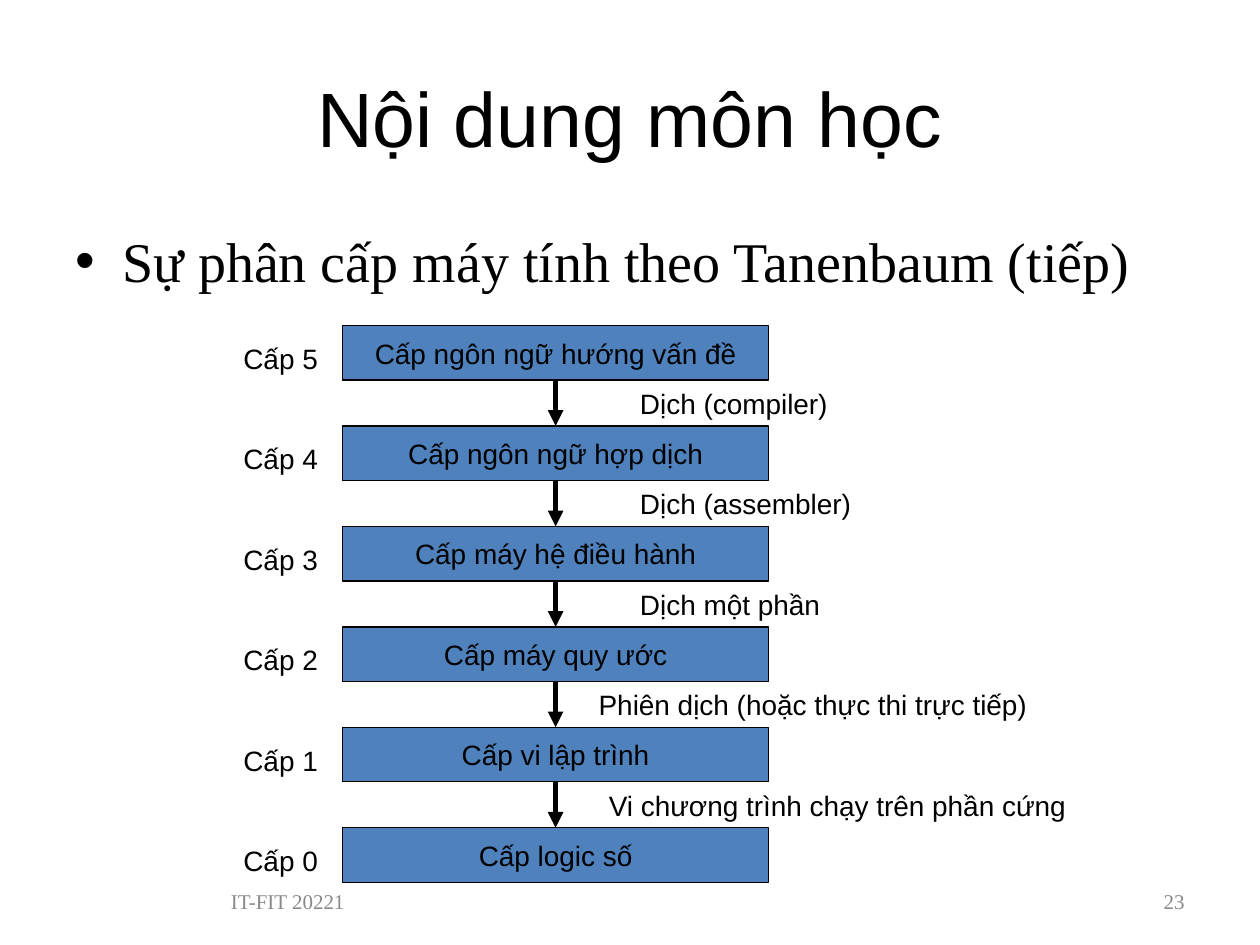
from pptx import Presentation
from pptx.dml.color import RGBColor
from pptx.enum.shapes import MSO_CONNECTOR, MSO_SHAPE
from pptx.enum.text import MSO_ANCHOR, PP_ALIGN
from pptx.oxml.ns import qn
from pptx.util import Pt
from lxml.etree import SubElement

BLACK = RGBColor(0, 0, 0)
BLUE = RGBColor(0x4F, 0x81, 0xBD)
GRAY = RGBColor(0x89, 0x89, 0x89)
SANS, SERIF = "Arial", "Times New Roman"


def style(shape, text, size=16, font=SANS, color=BLACK,
          align=PP_ALIGN.LEFT, anchor=MSO_ANCHOR.MIDDLE, wrap=True):
    frame = shape.text_frame
    frame.text = text
    frame.word_wrap = wrap
    frame.vertical_anchor = anchor
    para = frame.paragraphs[0]
    para.alignment = align
    face = para.runs[0].font
    face.name, face.size, face.color.rgb = font, Pt(size), color
    return para


def label(text, left, top, width, height, **look):
    box = slide.shapes.add_textbox(Pt(left), Pt(top), Pt(width), Pt(height))
    return style(box, text, **look)


deck = Presentation()
deck.slide_width, deck.slide_height = Pt(720), Pt(540)
slide = deck.slides.add_slide(deck.slide_layouts[6])

# Title and bullet
label("Nội dung môn học", 36, 21.6, 648, 90, size=44, align=PP_ALIGN.CENTER)
point = label("Sự phân cấp máy tính theo Tanenbaum (tiếp)", 36, 126, 648, 66,
              size=32, font=SERIF, anchor=MSO_ANCHOR.TOP)
point.space_before = Pt(8)
props = point._p.get_or_add_pPr()
props.set("marL", str(Pt(27)))
props.set("indent", str(-Pt(27)))
SubElement(props, qn("a:buFont"), typeface=SANS)
SubElement(props, qn("a:buChar"), char="•")

# Levels, each with the step that leads to the next one
LEFT, TOP, WIDTH, HEIGHT, PITCH = 195.8, 186, 243.4, 31.2, 57.4
MID = LEFT + WIDTH / 2
levels = [
    ("Cấp ngôn ngữ hướng vấn đề", "Dịch (compiler)", 358.6, 145),
    ("Cấp ngôn ngữ hợp dịch", "Dịch (assembler)", 358.6, 145),
    ("Cấp máy hệ điều hành", "Dịch một phần", 358.6, 145),
    ("Cấp máy quy ước", "Phiên dịch (hoặc thực thi trực tiếp)", 335, 284),
    ("Cấp vi lập trình", "Vi chương trình chạy trên phần cứng", 340.8, 313),
    ("Cấp logic số", None, 0, 0),
]
for row, (name, step, left, width) in enumerate(levels):
    top = TOP + row * PITCH
    end = top + HEIGHT
    box = slide.shapes.add_shape(MSO_SHAPE.RECTANGLE, Pt(LEFT), Pt(top),
                                 Pt(WIDTH), Pt(HEIGHT))
    box.shadow.inherit = False
    box.fill.solid()
    box.fill.fore_color.rgb = BLUE
    box.line.color.rgb = BLACK
    box.line.width = Pt(0.74)
    style(box, name, align=PP_ALIGN.CENTER, wrap=False)
    label(f"Cấp {5 - row}", 132, top + 5.6, 64, 26.6, anchor=MSO_ANCHOR.TOP)
    if step:
        arrow = slide.shapes.add_connector(MSO_CONNECTOR.STRAIGHT, Pt(MID),
                                           Pt(end), Pt(MID), Pt(top + PITCH))
        arrow.line.color.rgb = BLACK
        arrow.line.width = Pt(3)
        SubElement(arrow.line._get_or_add_ln(), qn("a:tailEnd"),
                   type="triangle")
        SubElement(arrow._element.spPr, qn("a:effectLst"))
        label(step, left, end, width, 26.6, anchor=MSO_ANCHOR.TOP)

# Footer and page number
for text, left in (("IT-FIT 20221", 36), ("23", 516)):
    label(text, left, 500.5, 168, 28.8, size=12, font=SERIF, color=GRAY,
          align=PP_ALIGN.RIGHT)

deck.save("out.pptx")
